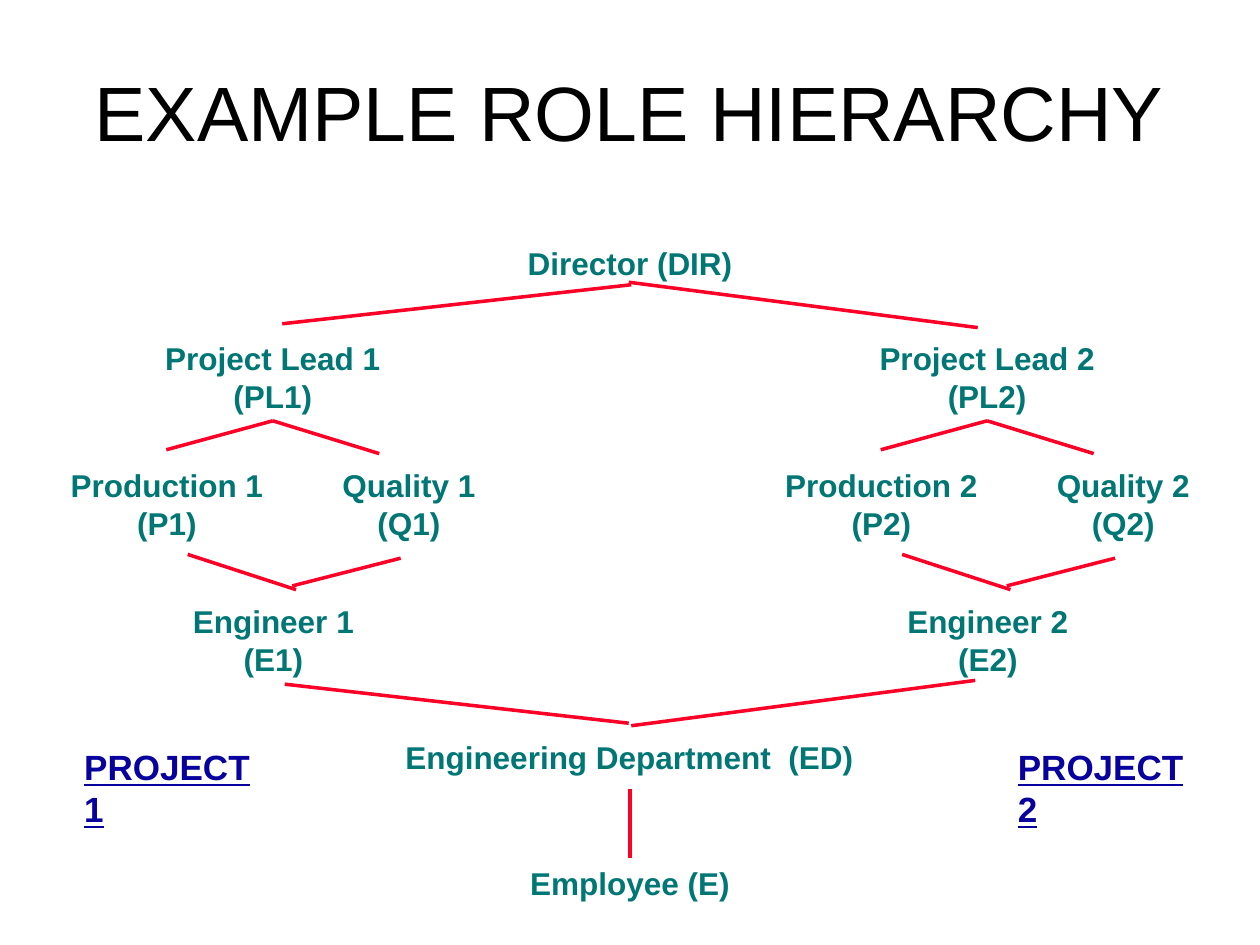
"""Build the example role hierarchy slide."""
from lxml import etree
from pptx import Presentation
from pptx import util as u
from pptx.dml.color import RGBColor
from pptx.enum import shapes, text
from pptx.oxml.ns import qn

THEME = {
    "font": "Arial",
    "title": {"size": 44, "color": "000000", "bold": False},
    "role": {"size": 18, "color": "007774", "bold": True},
    "project": {"size": 20, "color": "08019D", "bold": True, "underline": True},
    "line": {"color": "FC0128", "width": 2},
}

TITLE = "EXAMPLE ROLE HIERARCHY"
SHARED_ROLES = {
    "Director": (["Director (DIR)"], (4.06, 1.89, 1.88, 0.4)),
    "Department": (["Engineering Department  (ED)"], (3.09, 5.81, 3.81, 0.4)),
    "Employee": (["Employee (E)"], (4.08, 6.81, 1.84, 0.4)),
}
PROJECT_ROLES = [
    ("Project Lead", "PL", (1.18, 2.64, 1.97, 0.7)),
    ("Production", "P", (0.43, 3.65, 1.79, 0.7)),
    ("Quality", "Q", (2.59, 3.65, 1.31, 0.7)),
    ("Engineer", "E", (1.4, 4.73, 1.54, 0.7)),
]
LEAD_LINES = [((2.18, 3.35), (1.32, 3.57)), ((2.15, 3.32), (3.01, 3.6))]
ENGINEER_LINES = [((3.18, 4.43), (2.32, 4.65)), ((1.49, 4.4), (2.35, 4.68))]
SHARED_LINES = [
    ((5.01, 2.26), (2.24, 2.57)),
    ((4.99, 2.24), (7.76, 2.6)),
    ((2.26, 5.43), (4.99, 5.74)),
    ((7.74, 5.4), (5.01, 5.76)),
]
EMPLOYEE_LINE = ((5, 6.26), (5, 6.81))
PROJECT_SHIFT = 5.67
PROJECT_LEFTS = (0.57, 7.98)


def add_text(page, lines, place, style, align, wrap=False, anchor=text.MSO_ANCHOR.TOP):
    box = page.shapes.add_textbox(*map(u.Inches, place))
    frame = box.text_frame
    frame.word_wrap = wrap
    frame.vertical_anchor = anchor
    look = THEME[style]
    for index, line in enumerate(lines):
        para = frame.add_paragraph() if index else frame.paragraphs[0]
        para.alignment = align
        span = para.add_run()
        span.text = line
        font = span.font
        font.name = THEME["font"]
        font.size = u.Pt(look["size"])
        font.bold = look["bold"]
        font.underline = look.get("underline")
        font.color.rgb = RGBColor.from_string(look["color"])
    return box


def add_line(page, start, end, shift=0):
    (x1, y1), (x2, y2) = start, end
    ends = map(u.Inches, (x1 + shift, y1, x2 + shift, y2))
    line = page.shapes.add_connector(shapes.MSO_CONNECTOR.STRAIGHT, *ends)
    line.line.color.rgb = RGBColor.from_string(THEME["line"]["color"])
    line.line.width = u.Pt(THEME["line"]["width"])
    etree.SubElement(line._element.spPr, qn("a:effectLst"))
    return line


def add_project(page, number):
    shift = PROJECT_SHIFT * (number - 1)
    boxes = {}
    for role, code, (left, *rest) in PROJECT_ROLES:
        lines = [f"{role} {number}", f"({code}{number})"]
        boxes[role] = add_text(page, lines, (left + shift, *rest), "role", text.PP_ALIGN.CENTER)
    for start, end in LEAD_LINES:
        add_line(page, start, end, shift).begin_connect(boxes["Project Lead"], 2)
    for start, end in ENGINEER_LINES:
        add_line(page, start, end, shift)
    place = (PROJECT_LEFTS[number - 1], 5.87, 1.7, 0.43)
    add_text(page, [f"PROJECT {number}"], place, "project", text.PP_ALIGN.LEFT, wrap=True)


def main():
    deck = Presentation()
    deck.slide_width, deck.slide_height = u.Inches(10), u.Inches(7.5)
    page = deck.slides.add_slide(deck.slide_layouts[6])
    add_text(page, [TITLE], (0.43, 0.25, 9.14, 1.25), "title", text.PP_ALIGN.CENTER,
             wrap=True, anchor=text.MSO_ANCHOR.MIDDLE)
    boxes = {name: add_text(page, lines, place, "role", text.PP_ALIGN.CENTER)
             for name, (lines, place) in SHARED_ROLES.items()}
    for number in (1, 2):
        add_project(page, number)
    for start, end in SHARED_LINES:
        add_line(page, start, end)
    add_line(page, *EMPLOYEE_LINE).end_connect(boxes["Employee"], 0)
    deck.save("out.pptx")


if __name__ == "__main__":
    main()
